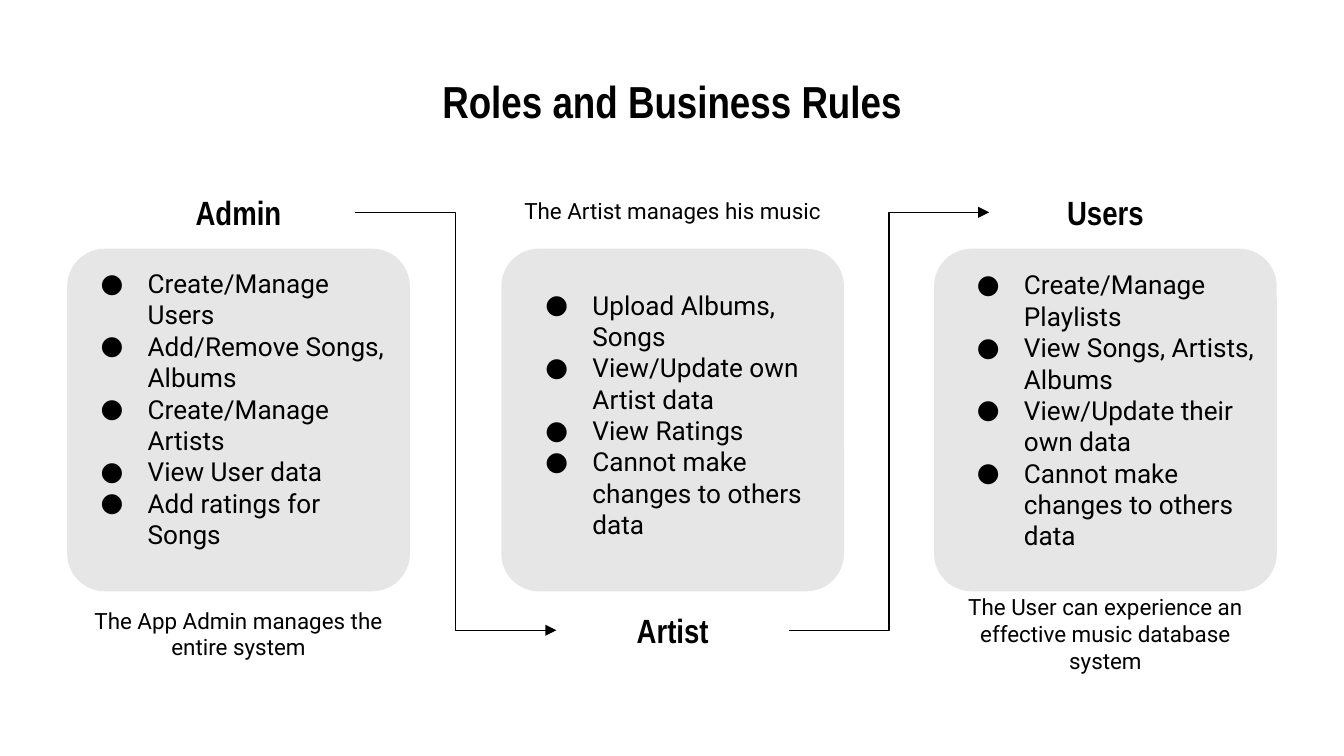
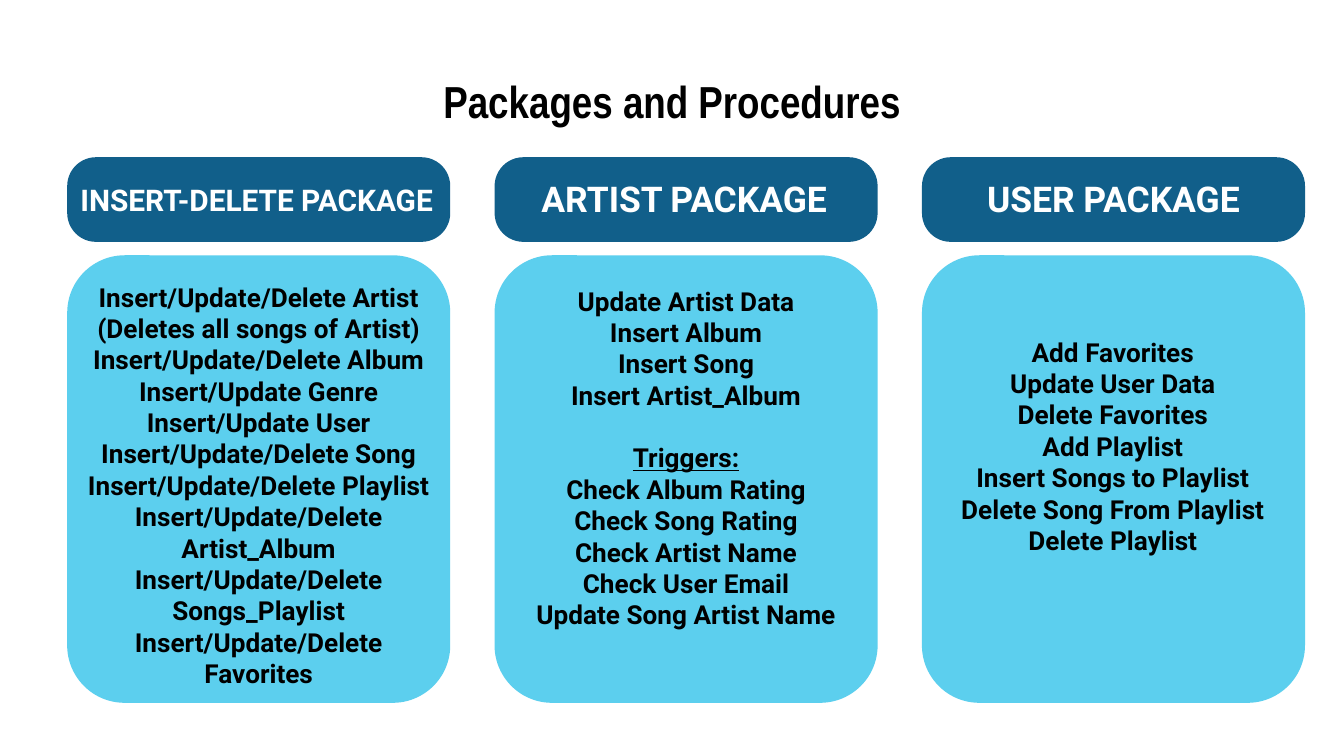
from lxml import etree
from pptx import Presentation
from pptx import util as u
from pptx.dml.color import RGBColor
from pptx.enum import shapes, text
from pptx.oxml.ns import qn

# Shared look: 100 px to the inch
PX = 9144
BLACK = RGBColor(0x00, 0x00, 0x00)
WHITE = RGBColor(0xFF, 0xFF, 0xFF)
GRAY = RGBColor(0xE6, 0xE6, 0xE6)
NAVY = RGBColor(0x11, 0x5F, 0x8A)
SKY = RGBColor(0x5C, 0xCF, 0xEE)
HEAD_FONT, BODY_FONT = "Arial Narrow", "Roboto"
LEFT, CENTER = text.PP_ALIGN.LEFT, text.PP_ALIGN.CENTER
TOP, MIDDLE = text.MSO_ANCHOR.TOP, text.MSO_ANCHOR.MIDDLE
PAGE_WIDTH, MARGIN = 1000, 50

# Content: name, name top, summary, summary top, rules, rules frame
ROLES = [
    ("Admin", 139, "The App Admin manages the entire system", 440,
     ["Create/Manage Users", "Add/Remove Songs, Albums",
      "Create/Manage Artists", "View User data", "Add ratings for Songs"],
     (50, 189, 248, 224)),
    ("Artist", 450, "The Artist manages his music", 125,
     ["Upload Albums, Songs", "View/Update own Artist data",
      "View Ratings", "Cannot make changes to others data"],
     (381, 205, 238, 208)),
    ("Users", 139, "The User can experience an effective music database system", 440,
     ["Create/Manage Playlists", "View Songs, Artists, Albums",
      "View/Update their own data", "Cannot make changes to others data"],
     (702, 190, 248, 224)),
]
TRIGGERS = "Triggers:"
# Content: name, size, alignment, name width and height, procedures, their top, width, height
PACKAGES = [
    ("INSERT-DELETE PACKAGE", 16, LEFT, 285, 47,
     ["Insert/Update/Delete Artist (Deletes all songs of Artist)",
      "Insert/Update/Delete Album", "Insert/Update Genre",
      "Insert/Update User", "Insert/Update/Delete Song",
      "Insert/Update/Delete Playlist", "Insert/Update/Delete Artist_Album",
      "Insert/Update/Delete Songs_Playlist", "Insert/Update/Delete Favorites"],
     199, 285, 299),
    ("ARTIST PACKAGE", 19, LEFT, 235, 52,
     ["Update Artist Data", "Insert Album", "Insert Song",
      "Insert Artist_Album", TRIGGERS, "Check Album Rating",
      "Check Song Rating", "Check Artist Name", "Check User Email",
      "Update Song Artist Name"],
     202, 285, 308),
    ("USER PACKAGE", 19, CENTER, 235, 52,
     ["Add Favorites", "Update User Data", "Delete Favorites", "Add Playlist",
      "Insert Songs to Playlist", "Delete Song From Playlist",
      "Delete Playlist"],
     240, 262, 308),
]


def emu(*lengths):
    return [u.Emu(length * PX) for length in lengths]


def write(box, lines, size, font=BODY_FONT, color=BLACK, bold=False,
          align=CENTER, anchor=TOP):
    frame = box.text_frame
    frame.word_wrap = True
    frame.auto_size = text.MSO_AUTO_SIZE.NONE
    frame.vertical_anchor = anchor
    frame.margin_left = frame.margin_right = u.Emu(10 * PX)
    frame.margin_top = frame.margin_bottom = u.Emu(10 * PX)
    for i, line in enumerate(lines):
        para = frame.paragraphs[0] if i == 0 else frame.add_paragraph()
        para.alignment = align
        span = para.add_run()
        span.text = line
        span.font.size = u.Pt(size)
        span.font.name = font
        span.font.bold = bold
        span.font.color.rgb = color
    return box


def add_text(page, frame, lines, size, **style):
    return write(page.shapes.add_textbox(*emu(*frame)), lines, size, **style)


def add_card(page, frame, fill, rounding):
    card = page.shapes.add_shape(shapes.MSO_SHAPE.ROUNDED_RECTANGLE, *emu(*frame))
    card.adjustments[0] = rounding
    card.shadow.inherit = False
    card.fill.solid()
    card.fill.fore_color.rgb = fill
    card.line.fill.background()


def add_bullets(box):
    for para in box.text_frame.paragraphs:
        props = para._p.get_or_add_pPr()
        props.set("marL", str(50 * PX))
        props.set("indent", str(-35 * PX))
        color = etree.SubElement(props, qn("a:buClr"))
        etree.SubElement(color, qn("a:srgbClr"), val=str(BLACK))
        etree.SubElement(props, qn("a:buFont"), typeface=BODY_FONT)
        etree.SubElement(props, qn("a:buChar"), char="●")


def add_arrow(page, start, end):
    arrow = page.shapes.add_connector(shapes.MSO_CONNECTOR.ELBOW, 0, 0, 0, 0)
    arrow.begin_connect(start, 3)
    arrow.end_connect(end, 1)
    arrow.line.color.rgb = BLACK
    arrow.line.width = u.Pt(0.75)
    etree.SubElement(arrow.line._get_or_add_ln(), qn("a:tailEnd"), type="triangle")
    etree.SubElement(arrow._element.spPr, qn("a:effectLst"))


def add_page(deck, title):
    page = deck.slides.add_slide(deck.slide_layouts[5])
    box = page.shapes.title
    box.left, box.top, box.width, box.height = emu(MARGIN, 45, PAGE_WIDTH - 2 * MARGIN, 63)
    write(box, [title], 24, font=HEAD_FONT, bold=True)
    return page


def build_roles(deck):
    page = add_page(deck, "Roles and Business Rules")
    side, name_width = 255, 173
    span = PAGE_WIDTH - 2 * MARGIN - side
    names = []
    for i, (name, name_top, summary, summary_top, _, _) in enumerate(ROLES):
        left = MARGIN + (i * span + 1) // 2
        add_card(page, (left, 185, side, side), GRAY, 0.11)
        name_left = left + (side - name_width) // 2
        names.append(add_text(page, (name_left, name_top, name_width, 38), [name], 18,
                              font=HEAD_FONT, bold=True, anchor=MIDDLE))
        add_text(page, (left, summary_top, side, 63), [summary], 12, anchor=MIDDLE)
    for start, end in zip(names, names[1:]):
        add_arrow(page, start, end)
    for *_, rules, frame in ROLES:
        add_bullets(add_text(page, frame, rules, 14, align=LEFT))


def build_packages(deck):
    page = add_page(deck, "Packages and Procedures")
    width, pitch = 285, 318
    band_top, band_height = 117, 63
    for i, package in enumerate(PACKAGES):
        name, size, align, name_width, name_height, procedures, top, list_width, height = package
        left = MARGIN + i * pitch
        add_card(page, (left, band_top, width, band_height), NAVY, 0.34)
        add_card(page, (left, 190, width, 333), SKY, 0.15)
        # Name centred on its band
        frame = (left + (width - name_width) // 2,
                 band_top + (band_height - name_height) // 2, name_width, name_height)
        label = add_text(page, frame, [name], size, color=WHITE, bold=True, align=align)
        label.text_frame.auto_size = text.MSO_AUTO_SIZE.SHAPE_TO_FIT_TEXT
        # Procedures, with a gap above the triggers
        frame = (left + (width - list_width) // 2, top, list_width, height)
        box = add_text(page, frame, procedures, 14, bold=True)
        for para in box.text_frame.paragraphs:
            if para.text == TRIGGERS:
                para.space_before = u.Pt(16.8)
                para.runs[0].font.underline = True


def main():
    deck = Presentation()
    deck.slide_width = u.Emu(PAGE_WIDTH * PX)
    deck.slide_height = u.Emu(PAGE_WIDTH * PX * 9 // 16)
    build_roles(deck)
    build_packages(deck)
    deck.save("out.pptx")


if __name__ == "__main__":
    main()
